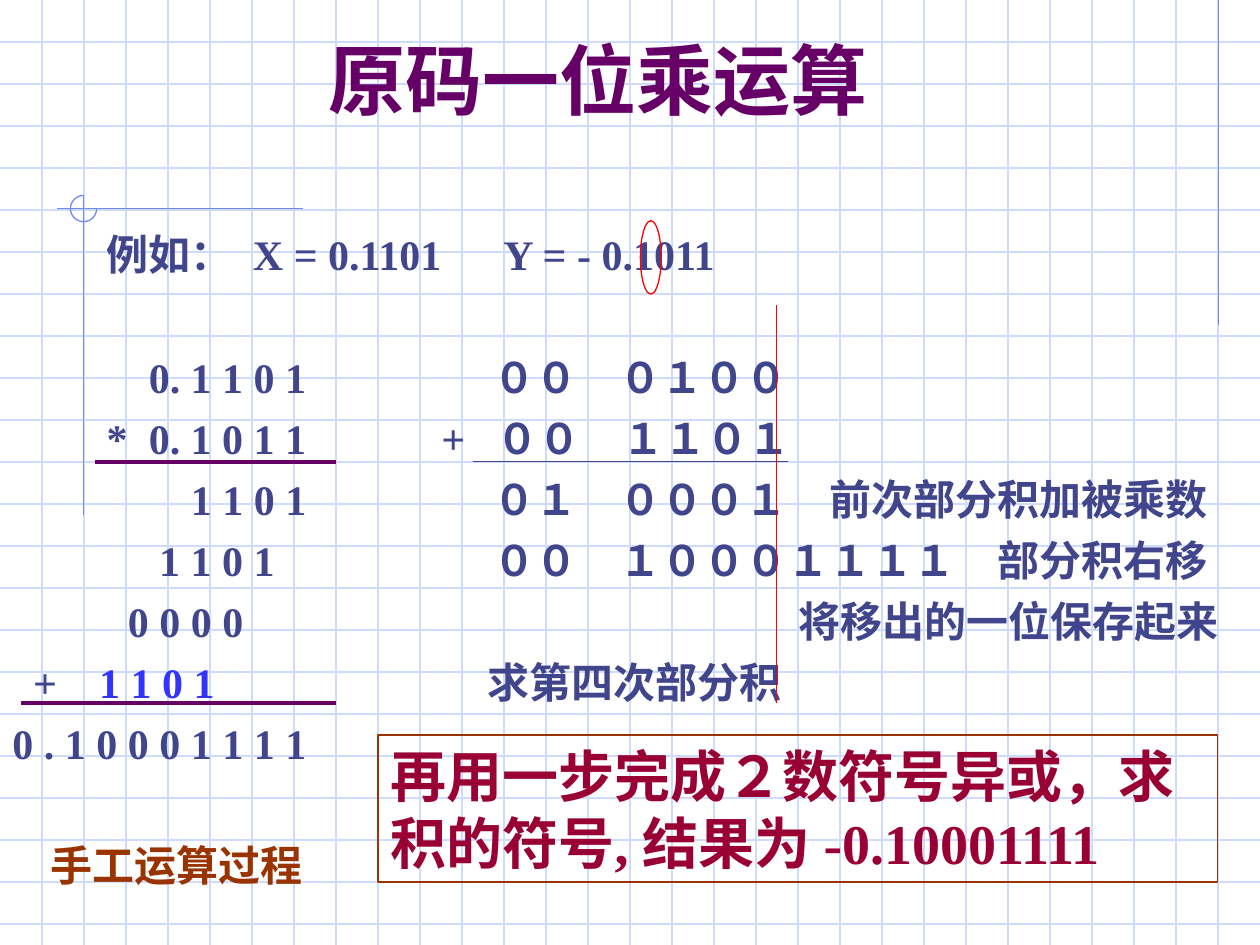
from dataclasses import dataclass

from lxml import etree
from pptx import Presentation
from pptx.dml.color import RGBColor
from pptx.enum.shapes import MSO_CONNECTOR, MSO_SHAPE
from pptx.enum.text import MSO_ANCHOR, PP_ALIGN
from pptx.oxml.ns import qn
from pptx.util import Cm, Pt

STRAIGHT = MSO_CONNECTOR.STRAIGHT
ARC, ELLIPSE, RECTANGLE = MSO_SHAPE.ARC, MSO_SHAPE.OVAL, MSO_SHAPE.RECTANGLE
MIDDLE, CENTER = MSO_ANCHOR.MIDDLE, PP_ALIGN.CENTER

COLORS = {
    "grid": "CFDBFD", "ornament": "6F89F7", "title": "660066", "body": "40458C",
    "partial": "3333FF", "caption": "993300", "mark": "FF0000", "result": "990033",
}
FONT = "Times New Roman"
WIDTH, HEIGHT = 25.4, 19.05
GRID_STEP = WIDTH / 30
ROW_PITCH = 34.9
STEPS_LEFT = 9.7  # tab position of the machine calculation


@dataclass
class Cell:
    tab: float
    text: str
    color: str = "body"


@dataclass
class Row:
    cells: list[Cell]
    rows_skipped: int = 0


@dataclass
class Line:
    x1: float
    y1: float
    x2: float
    y2: float
    color: str
    weight: float = 0.75


ROWS = [
    Row([Cell(1.9, "例如："), Cell(4.85, "X = 0.1101"), Cell(9.9, "Y = - 0.1011")]),
    Row([Cell(2.75, "0. 1 1 0 1"), Cell(STEPS_LEFT, "００\u3000０１００".replace("\u3000", "　"))], 1),
    Row([Cell(1.9, "*"), Cell(2.75, "0. 1 0 1 1"), Cell(8.65, "+"),
         Cell(STEPS_LEFT + 0.06, "００　１１０１")]),
    Row([Cell(3.6, "1 1 0 1"), Cell(STEPS_LEFT, "０１　０００１　前次部分积加被乘数")]),
    Row([Cell(2.96, "1 1 0 1"), Cell(STEPS_LEFT, "００　１０００１１１１　部分积右移")]),
    Row([Cell(2.33, "0 0 0 0"), Cell(15.85, "将移出的一位保存起来")]),
    Row([Cell(0.42, "+"), Cell(1.75, "1 1 0 1", "partial"), Cell(9.57, "求第四次部分积")]),
    Row([Cell(0, "0 . 1 0 0 0 1 1 1 1")]),
    Row([Cell(0.76, "手工运算过程", "caption")], 1),
]

ORNAMENT_LINES = [
    Line(24.56, 0, 24.56, 6.55, "ornament"),
    Line(6.1, 4.21, 1.14, 4.21, "ornament"),
    Line(1.68, 3.94, 1.68, 10.39, "ornament"),
]
CALCULATION_LINES = [
    Line(1.91, 9.31, 6.77, 9.31, "title", 2.25),
    Line(0.42, 14.18, 6.77, 14.18, "title", 2.25),
    Line(9.53, 9.31, 15.88, 9.31, "body"),
    Line(15.66, 6.14, 15.66, 14.18, "mark"),
]


def rgb(color: str) -> RGBColor:
    return RGBColor.from_string(COLORS[color])


def draw_line(slide, line: Line) -> None:
    connector = slide.shapes.add_connector(
        STRAIGHT, Cm(line.x1), Cm(line.y1), Cm(line.x2), Cm(line.y2))
    connector.line.color.rgb = rgb(line.color)
    connector.line.width = Pt(line.weight)
    etree.SubElement(connector.element.spPr, qn("a:effectLst"))


def draw_outline(slide, preset, left: float, top: float, width: float, height: float, color: str):
    outline = slide.shapes.add_shape(preset, Cm(left), Cm(top), Cm(width), Cm(height))
    outline.shadow.inherit = False
    outline.fill.background()
    outline.line.color.rgb = rgb(color)
    outline.line.width = Pt(0.75)
    return outline


def format_font(font, size: float, color: str) -> None:
    font.name = FONT
    font.size = Pt(size)
    font.bold = True
    font.color.rgb = rgb(color)


def draw_background(slide) -> None:
    for i in range(1, 23):
        draw_line(slide, Line(0, i * GRID_STEP, WIDTH, i * GRID_STEP, "grid"))
    for i in range(1, 30):
        draw_line(slide, Line(i * GRID_STEP, 0, i * GRID_STEP, HEIGHT, "grid"))
    for line in ORNAMENT_LINES:
        draw_line(slide, line)
    corner = draw_outline(slide, ARC, 1.42, 3.94, 0.53, 0.53, "ornament")
    # Angles are in 60000ths of a degree, normalised by 100000
    corner.adjustments[0] = 0
    corner.adjustments[1] = 270 * 0.6


def draw_title(slide) -> None:
    title = slide.shapes.add_textbox(Cm(1.27), Cm(0), Cm(21.59), Cm(3.18)).text_frame
    title.word_wrap = True
    title.vertical_anchor = MIDDLE
    title.text = "原码一位乘运算"
    title.paragraphs[0].alignment = CENTER
    format_font(title.paragraphs[0].runs[0].font, 44, "title")


def add_tab_stops(paragraph, positions: list[float]) -> None:
    tab_list = etree.SubElement(paragraph._p.get_or_add_pPr(), qn("a:tabLst"))
    for position in positions:
        etree.SubElement(tab_list, qn("a:tab"), pos=str(int(Cm(position))), algn="l")


def draw_calculation(slide) -> None:
    """Write both calculations in one box, each cell at its own tab stop."""
    body = slide.shapes.add_textbox(Cm(0), Cm(3.18), Cm(WIDTH), Cm(15.87)).text_frame
    body.word_wrap = True
    body.margin_top = Cm(1.22)
    for index, row in enumerate(ROWS):
        paragraph = body.add_paragraph() if index else body.paragraphs[0]
        add_tab_stops(paragraph, [cell.tab for cell in row.cells if cell.tab])
        paragraph.line_spacing = Pt(ROW_PITCH)
        paragraph.space_before = Pt(row.rows_skipped * ROW_PITCH)
        for cell in row.cells:
            run = paragraph.add_run()
            run.text = f"\t{cell.text}" if cell.tab else cell.text
            format_font(run.font, 24, cell.color)


def draw_result(slide) -> None:
    result = draw_outline(slide, RECTANGLE, 7.62, 14.82, 16.93, 2.96, "caption").text_frame
    result.word_wrap = True
    result.vertical_anchor = MSO_ANCHOR.TOP
    result.text = "再用一步完成２数符号异或，求积的符号, 结果为 -0.10001111"
    paragraph = result.paragraphs[0]
    paragraph.alignment = PP_ALIGN.LEFT
    paragraph.line_spacing = Pt(38.4)
    format_font(paragraph.runs[0].font, 32, "result")


def main() -> None:
    presentation = Presentation()
    presentation.slide_width, presentation.slide_height = Cm(WIDTH), Cm(HEIGHT)
    slide = presentation.slides.add_slide(presentation.slide_layouts[6])
    draw_background(slide)
    draw_title(slide)
    draw_calculation(slide)
    for line in CALCULATION_LINES:
        draw_line(slide, line)
    draw_outline(slide, ELLIPSE, 12.91, 4.45, 0.42, 1.48, "mark")
    draw_result(slide)
    presentation.save("out.pptx")


if __name__ == "__main__":
    main()
